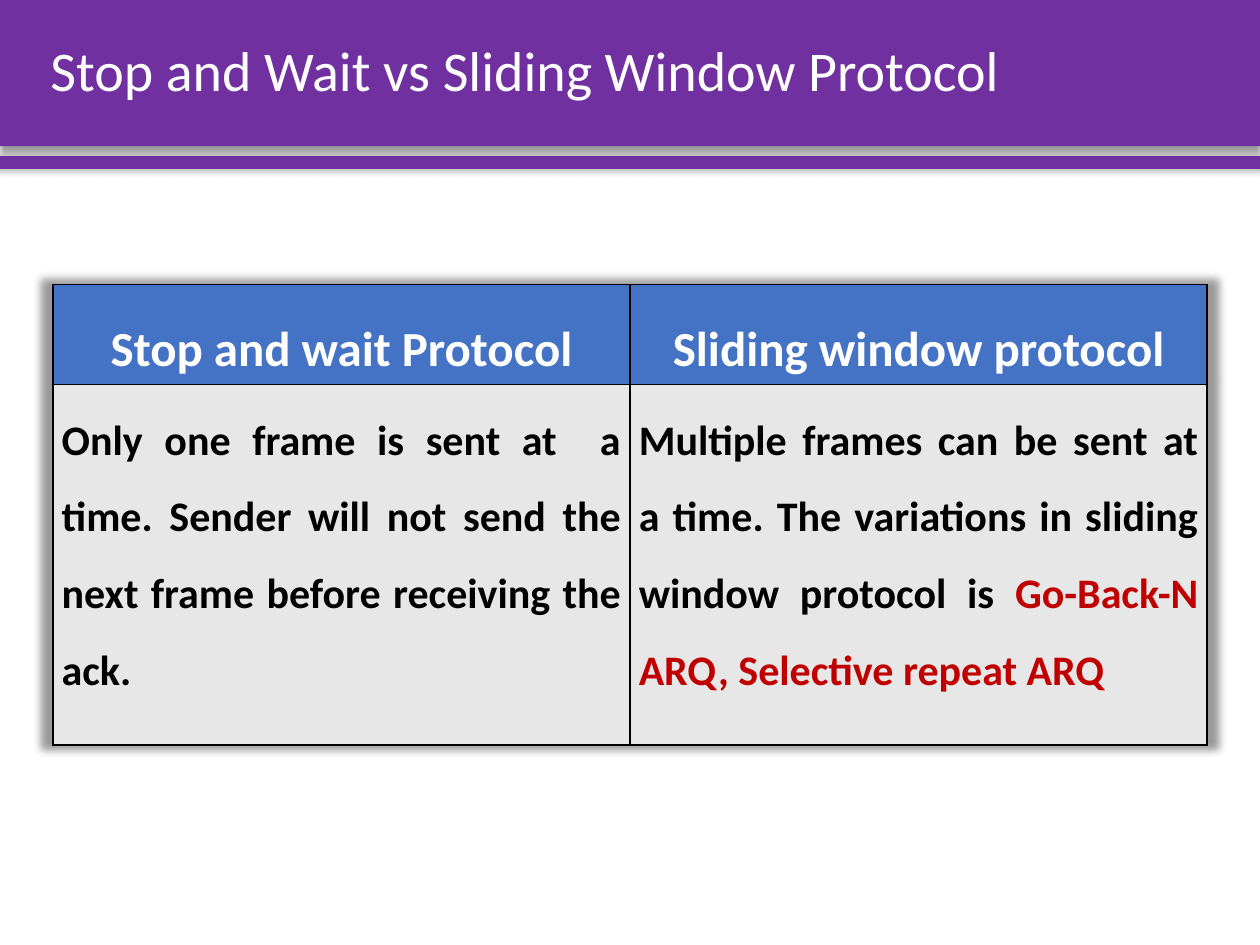
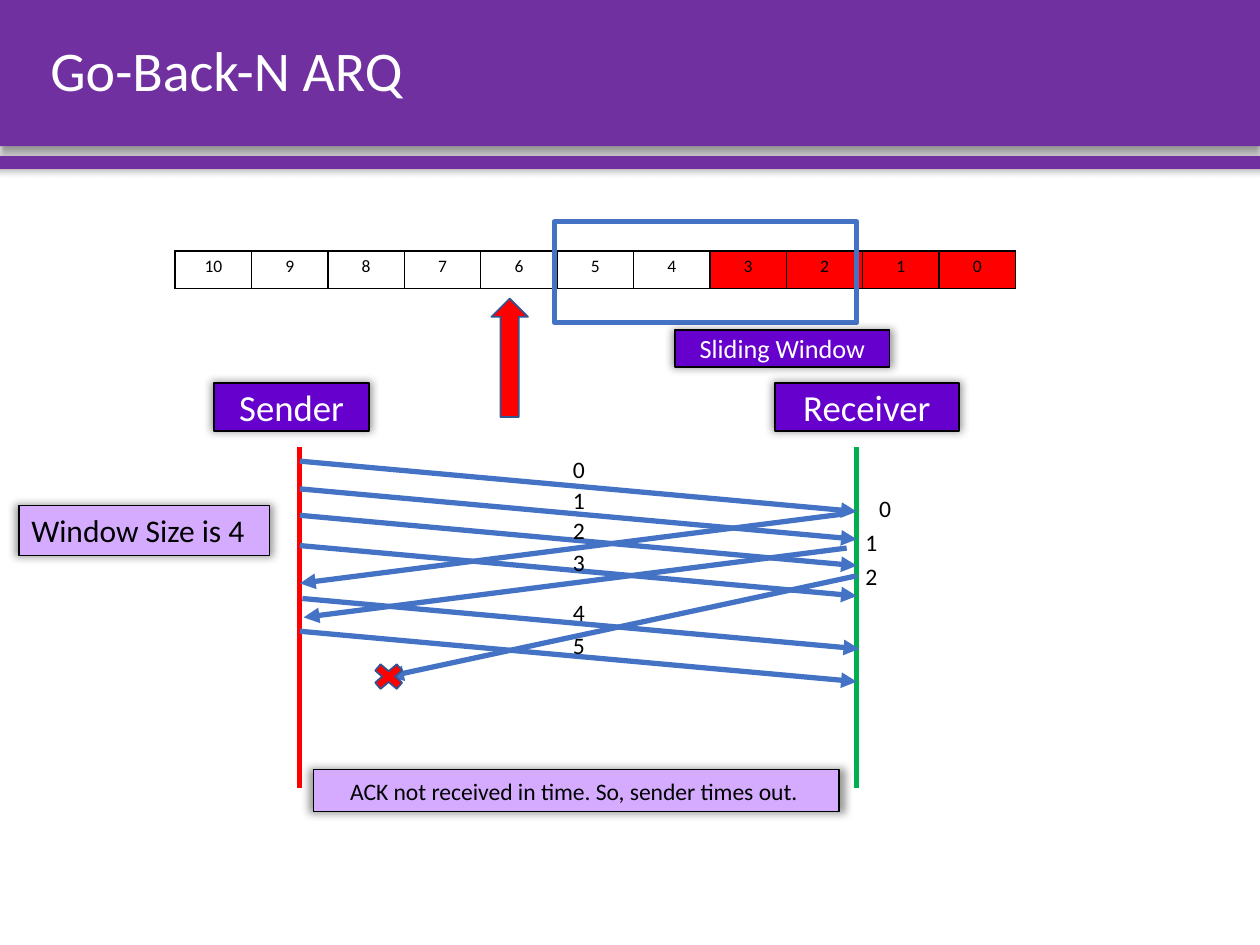
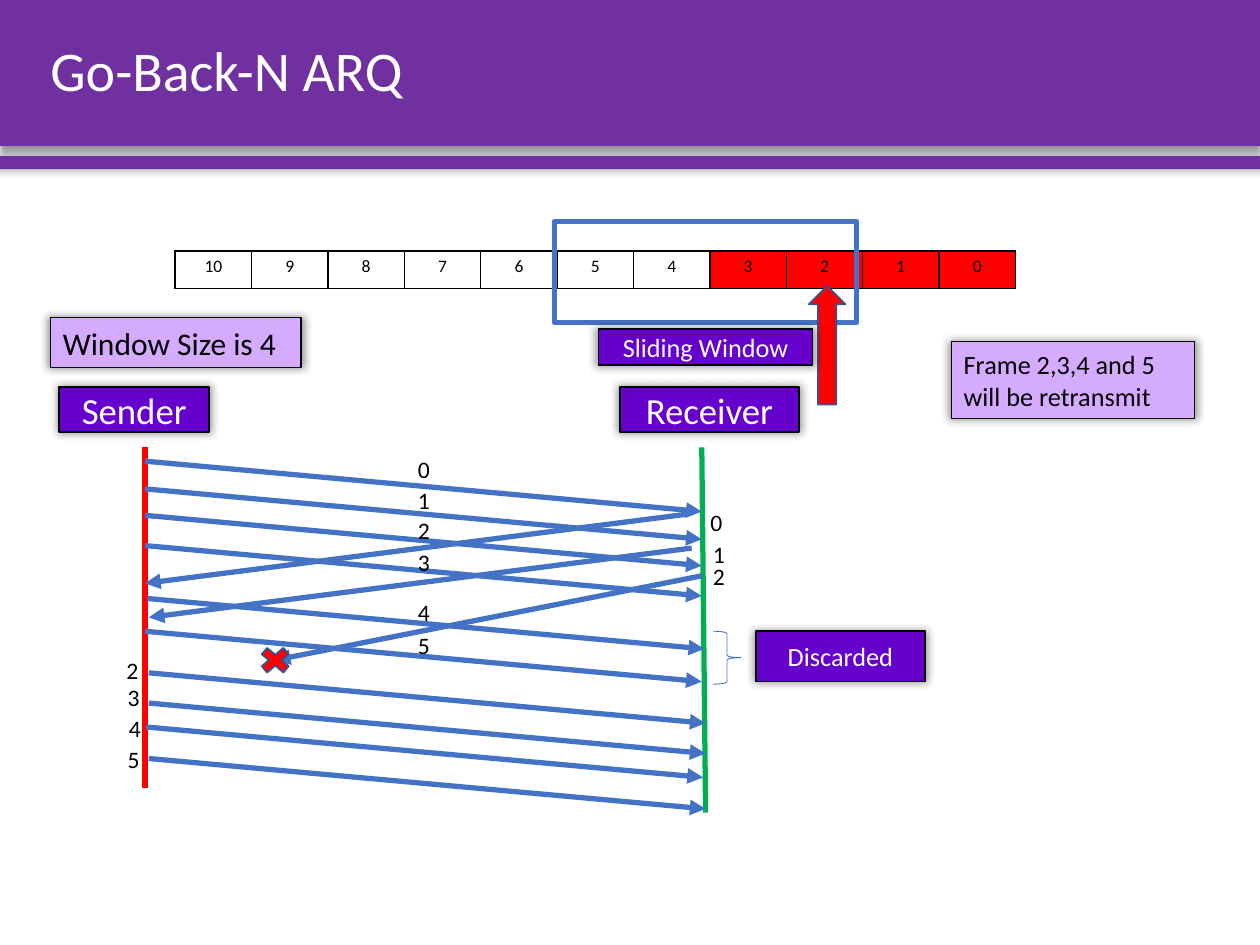
from lxml import etree
from pptx import Presentation
from pptx.dml.color import RGBColor
from pptx.enum import shapes, text
from pptx.oxml.ns import qn
from pptx.util import Inches, Pt

PURPLE = RGBColor(0x70, 0x30, 0xA0)
VIOLET = RGBColor(0x66, 0x00, 0xCC)
LILAC = RGBColor(0xD5, 0xAB, 0xFF)
BLUE = RGBColor(0x44, 0x72, 0xC4)
DARK_BLUE = RGBColor(0x32, 0x54, 0x91)
RED = RGBColor(0xFF, 0x00, 0x00)
DARK_RED = RGBColor(0xC0, 0x00, 0x00)
GREEN = RGBColor(0x00, 0xB0, 0x50)
GREY = RGBColor(0xE7, 0xE7, 0xE7)
BLACK = RGBColor(0, 0, 0)
WHITE = RGBColor(0xFF, 0xFF, 0xFF)
FONT = "Calibri"
SHAPE = shapes.MSO_SHAPE
LEFT, CENTER, JUSTIFY = (text.PP_ALIGN.LEFT, text.PP_ALIGN.CENTER,
                         text.PP_ALIGN.JUSTIFY)
MIDDLE, TOP = text.MSO_ANCHOR.MIDDLE, text.MSO_ANCHOR.TOP

COMPARISON = [
    ("Stop and wait Protocol",
     [("Only one frame is sent at  a time. Sender will not send the next "
       "frame before receiving the ack.", BLACK)]),
    ("Sliding window protocol",
     [("Multiple frames can be sent at a time. The variations in sliding "
       "window protocol is ", BLACK),
      ("Go-Back-N ARQ, Selective repeat ARQ", DARK_RED)]),
]
SEQUENCE = range(10, -1, -1)
LAST_SENT = 3
FRAMES = [("0", 0, 3.66, 3.5), ("1", 0, 3.88, 3.75), ("2", 0, 4.09, 3.99),
          ("3", 0, 4.33, 4.24), ("4", 0.02, 4.75, 4.64), ("5", 0, 5.01, 4.9)]
ACKS = [(4.31, 4.08, 0, 4.63), (4.34, 4.35, 0.03, 4.9)]
LOST_ACK_START = (4.42, 4.57)
RESENT = [("2", 0.03, 5.34, 0.82, 5.19), ("3", 0.03, 5.58, 0.83, 5.41),
          ("4", 0.01, 5.77, 0.84, 5.65), ("5", 0.03, 6.02, 0.83, 5.9)]
FRAME_RUN, FRAME_DROP = 4.42, 0.4

TIMEOUT_SCENE = {
    "sender_x": 2.38,
    "receiver_end": (6.8, 6.25),
    "lost_ack_end": (0.7, 5.37),
    "ack_labels": [("0", 6.14, 3.81), ("1", 6.03, 4.08), ("2", 6.03, 4.35)],
    "pointer": (3.9, 2.37),
    "tags": [("Sender", 21, (1.7, 3.04, 1.23, 0.38)),
             ("Receiver", 21, (6.15, 3.04, 1.46, 0.38)),
             ("Sliding Window", 15, (5.36, 2.62, 1.7, 0.29))],
    "notes": [("Window Size is 4", 18, LEFT, (0.15, 4.01, 1.99, 0.4)),
              ("ACK not received in time. So, sender times out. ", 13.5,
               CENTER, (2.49, 6.11, 4.17, 0.33))],
}
RESEND_SCENE = {
    "sender_x": 1.15,
    "receiver_end": (5.6, 6.45),
    "lost_ack_end": (1.03, 5.24),
    "ack_labels": [("0", 4.8, 3.92), ("1", 4.82, 4.18), ("2", 4.82, 4.35)],
    "pointer": (6.42, 2.27),
    "tags": [("Sender", 21, (0.47, 3.07, 1.19, 0.36)),
             ("Receiver", 21, (4.92, 3.07, 1.42, 0.36)),
             ("Sliding Window", 15, (4.75, 2.61, 1.7, 0.29)),
             ("Discarded", 15, (6, 5.01, 1.34, 0.4))],
    "notes": [("Frame 2,3,4 and 5 will be retransmit", 15, LEFT,
               (7.55, 2.71, 1.93, 0.61)),
              ("Window Size is 4", 18, LEFT, (0.4, 2.52, 1.99, 0.4))],
}


def inches(*values):
    return [Inches(value) for value in values]


def add_shadow(effects, blur=5, distance=0, angle=0, scale=102):
    shadow = etree.SubElement(
        effects, qn("a:outerShdw"), blurRad=str(Pt(blur)),
        dist=str(Pt(distance)), dir=str(angle * 60000),
        sx=str(scale * 1000), sy=str(scale * 1000),
        algn="ctr", rotWithShape="0")
    color = etree.SubElement(shadow, qn("a:srgbClr"), val=str(BLACK))
    etree.SubElement(color, qn("a:alpha"), val="40000")


def style(para, size, color, align, bold=False):
    para.alignment = align
    para.font.name = FONT
    para.font.size = Pt(size)
    para.font.color.rgb = color
    para.font.bold = bold


def add_figure(page, kind, place, fill=None, line=None, width=1, shadow=None):
    figure = page.shapes.add_shape(kind, *inches(*place))
    figure.shadow.inherit = False
    if fill is None:
        figure.fill.background()
    else:
        figure.fill.solid()
        figure.fill.fore_color.rgb = fill
    if line is None:
        figure.line.fill.background()
    else:
        figure.line.color.rgb = line
        figure.line.width = Pt(width)
    if shadow is not None:
        add_shadow(figure.element.spPr.find(qn("a:effectLst")), **shadow)
    return figure


def write(box, words, size, color, align):
    frame = box.text_frame
    frame.word_wrap = True
    frame.vertical_anchor = MIDDLE
    frame.text = words
    style(frame.paragraphs[0], size, color, align)


def add_label(page, words, left, top, width=1.77, height=0.44):
    box = page.shapes.add_textbox(*inches(left, top, width, height))
    write(box, words, 13.5, BLACK, CENTER)


def add_line(page, start, end, color=BLUE, arrow=True):
    line = page.shapes.add_connector(
        shapes.MSO_CONNECTOR.STRAIGHT, *inches(*start, *end))
    line.line.color.rgb = color
    line.line.width = Pt(3)
    properties = line.element.spPr
    if arrow:
        etree.SubElement(properties.find(qn("a:ln")), qn("a:tailEnd"),
                         type="triangle")
    etree.SubElement(properties, qn("a:effectLst"))


def add_frame_arrow(page, left, top):
    add_line(page, (left, top), (left + FRAME_RUN, top + FRAME_DROP))


def add_grid(page, rows, columns, place):
    holder = page.shapes.add_table(rows, columns, *inches(*place))
    holder.table.first_row = False
    holder.table.horz_banding = False
    return holder


def format_cell(cell, fill, anchor=TOP):
    cell.margin_left = cell.margin_right = Inches(0.07)
    cell.margin_top = cell.margin_bottom = Inches(0.04)
    cell.vertical_anchor = anchor
    if fill is None:
        cell.fill.background()
    else:
        cell.fill.solid()
        cell.fill.fore_color.rgb = fill
    properties = cell._tc.get_or_add_tcPr()
    for position, side in enumerate(("lnL", "lnR", "lnT", "lnB")):
        border = etree.Element(qn("a:" + side), w=str(Pt(1)))
        solid = etree.SubElement(border, qn("a:solidFill"))
        etree.SubElement(solid, qn("a:srgbClr"), val=str(BLACK))
        properties.insert(position, border)


def set_up_layout(layout, page):
    bands = [((0, 0, 10, 1.16),
              dict(blur=4, distance=3, angle=90, scale=100)),
             ((0, 1.24, 10, 0.1), {})]
    for position, (place, shadow) in enumerate(bands, start=2):
        band = add_figure(page, SHAPE.RECTANGLE, place, PURPLE, shadow=shadow)
        layout.shapes.element.insert(position, band.element)


def add_page(deck, heading):
    page = deck.slides.add_slide(deck.slide_layouts[5])
    title = page.shapes.title
    title.left, title.top, title.width, title.height = inches(0.3, 0, 9.46, 1.16)
    write(title, heading, 32, WHITE, LEFT)
    title.text_frame.auto_size = text.MSO_AUTO_SIZE.NONE
    title.text_frame.paragraphs[0].line_spacing = 0.9
    return page


def add_comparison(page):
    holder = add_grid(page, 2, 2, (0.42, 2.26, 9.16, 3.63))
    properties = next(holder.element.iter(qn("a:tblPr")))
    effects = etree.Element(qn("a:effectLst"))
    properties.insert(0, effects)
    add_shadow(effects)
    table = holder.table
    for row, height in zip(table.rows, (0.77, 2.86)):
        row.height = Inches(height)
    for column, (heading, spans) in enumerate(COMPARISON):
        head, body = table.cell(0, column), table.cell(1, column)
        format_cell(head, BLUE, MIDDLE)
        format_cell(body, GREY)
        para = head.text_frame.paragraphs[0]
        para.text = heading
        style(para, 28, WHITE, CENTER, True)
        para.line_spacing = 1.5
        para = body.text_frame.paragraphs[0]
        style(para, 24, BLACK, JUSTIFY, True)
        para.line_spacing = 1.5
        for words, color in spans:
            span = para.add_run()
            span.text = words
            span.font.color.rgb = color


def add_window(page):
    table = add_grid(page, 1, len(SEQUENCE), (1.39, 1.99, 6.67, 0.3)).table
    for column, number in enumerate(SEQUENCE):
        cell = table.cell(0, column)
        format_cell(cell, RED if number <= LAST_SENT else None)
        cell.text = str(number)
        style(cell.text_frame.paragraphs[0], 10, BLACK, CENTER)
    add_figure(page, SHAPE.RECTANGLE, (4.4, 1.76, 2.4, 0.8), line=BLUE, width=3)


def add_exchange(page, scene):
    left = scene["sender_x"]
    add_line(page, (left, 3.55), (left, 6.25), RED, arrow=False)
    add_line(page, (left + FRAME_RUN, 3.55), scene["receiver_end"], GREEN,
             arrow=False)
    add_window(page)
    for number, shift, top, label_top in FRAMES:
        add_frame_arrow(page, left + shift, top)
        add_label(page, number, left + 1.33, label_top)
    for start_x, start_y, end_x, end_y in ACKS + [
            LOST_ACK_START + scene["lost_ack_end"]]:
        add_line(page, (left + start_x, start_y), (left + end_x, end_y))
    for label in scene["ack_labels"]:
        add_label(page, *label)
    lost_x, lost_y = scene["lost_ack_end"]
    add_figure(page, SHAPE.MATH_MULTIPLY,
               (left + lost_x - 0.16, lost_y - 0.14, 0.33, 0.28),
               RED, DARK_BLUE)
    add_figure(page, SHAPE.UP_ARROW, (*scene["pointer"], 0.29, 0.94),
               RED, DARK_BLUE)
    for words, size, place in scene["tags"]:
        tag = add_figure(page, SHAPE.RECTANGLE, place, VIOLET, BLACK, shadow={})
        write(tag, words, size, WHITE, CENTER)
    for words, size, align, place in scene["notes"]:
        note = add_figure(page, SHAPE.RECTANGLE, place, LILAC, BLACK, 0.75, {})
        write(note, words, size, BLACK, align)


def add_resent_frames(page, left):
    for number, shift, top, label_left, label_top in RESENT:
        add_frame_arrow(page, left + shift, top)
        add_label(page, number, label_left, label_top, 0.46, 0.25)
    add_figure(page, SHAPE.RIGHT_BRACE, (5.66, 5.01, 0.22, 0.42),
               line=BLUE, width=0.5)


def main():
    deck = Presentation()
    deck.slide_width, deck.slide_height = inches(10, 7.5)

    page = add_page(deck, "Stop and Wait vs Sliding Window Protocol")
    set_up_layout(page.slide_layout, page)
    add_comparison(page)

    page = add_page(deck, "Go-Back-N ARQ")
    add_exchange(page, TIMEOUT_SCENE)

    page = add_page(deck, "Go-Back-N ARQ")
    add_exchange(page, RESEND_SCENE)
    add_resent_frames(page, RESEND_SCENE["sender_x"])

    deck.save("out.pptx")


if __name__ == "__main__":
    main()
